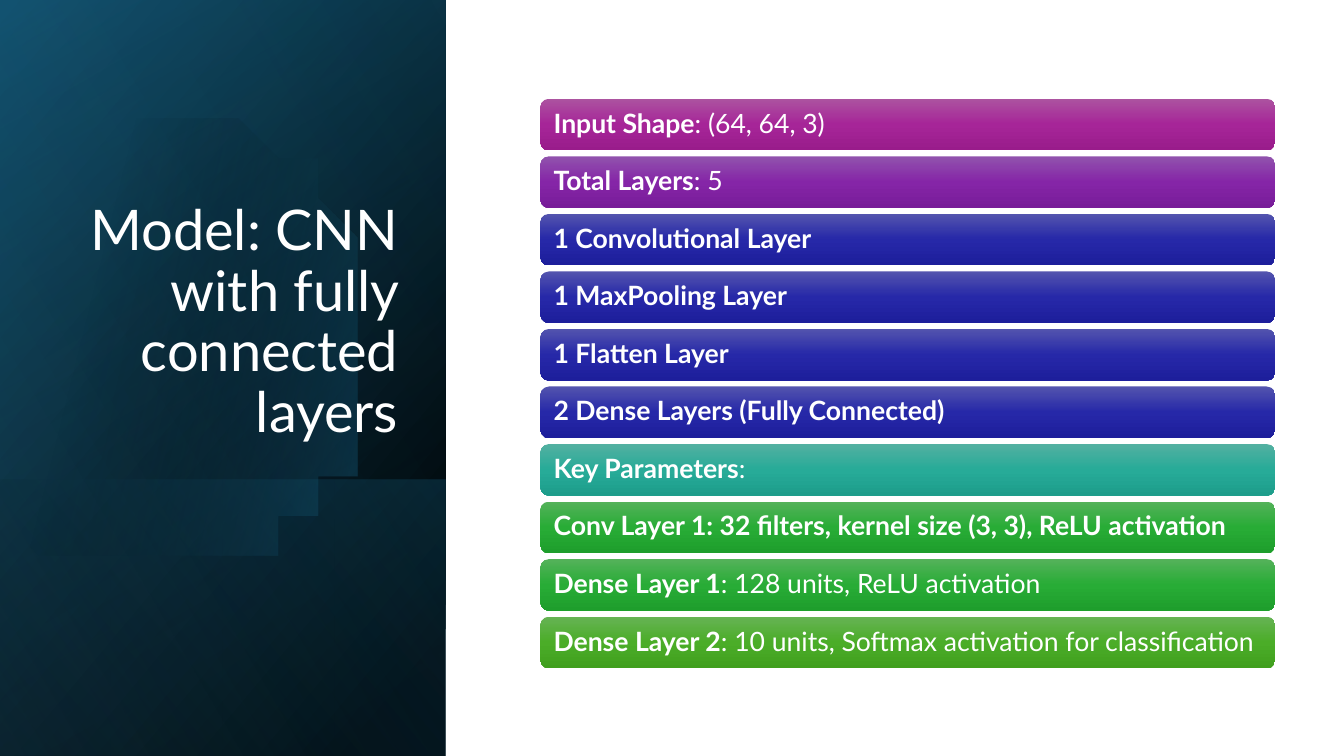
import math

from lxml import etree
from pptx import Presentation
from pptx import util as u
from pptx.dml.color import RGBColor
from pptx.enum import shapes, text
from pptx.oxml import ns


def color(value):
    return RGBColor.from_string(value)


class Slide:
    font = "Lato"
    ink = "FFFFFF"

    def __init__(self, deck):
        self.page = deck.slides.add_slide(deck.slide_layouts[5])

    def gradient(self, shape, stops, angle):
        shape.shadow.inherit = False
        shape.line.fill.background()
        shape.fill.background()
        properties = shape.element.spPr
        fill = etree.Element(ns.qn("a:gradFill"), rotWithShape="1")
        stop_list = etree.SubElement(fill, ns.qn("a:gsLst"))
        for position, value, opacity in stops:
            stop = etree.SubElement(stop_list, ns.qn("a:gs"), pos=str(position * 1000))
            tint = etree.SubElement(stop, ns.qn("a:srgbClr"), val=str(color(value)))
            if opacity < 100:
                etree.SubElement(tint, ns.qn("a:alpha"), val=str(opacity * 1000))
        etree.SubElement(fill, ns.qn("a:lin"), ang=str(round(angle * 60000)), scaled="0")
        properties.replace(properties.find(ns.qn("a:noFill")), fill)

    def shape(self, kind, place, stops, angle):
        box = self.page.shapes.add_shape(kind, *map(u.Cm, place))
        self.gradient(box, stops, angle)
        return box

    def panel(self, place, stops, angle):
        box = self.shape(shapes.MSO_SHAPE.RECTANGLE, place, stops, angle)
        box.rotation = 90
        box.element.spPr.find(ns.qn("a:xfrm")).set("flipH", "1")

    def disc(self, center, radius, reach, stops, angle):
        points = [
            (center[0] + radius * math.cos(math.radians(turn)),
             center[1] + radius * math.sin(math.radians(turn)))
            for turn in range(-reach, reach + 1, 2)
        ]
        builder = self.page.shapes.build_freeform(*points[0], scale=float(u.Cm(1)))
        builder.add_line_segments(points[1:])
        self.gradient(builder.convert_to_shape(), stops, angle)

    def style(self, para, size, align):
        para.alignment = align
        para.line_spacing = 0.9
        para.font.name = self.font
        para.font.size = u.Pt(size)
        para.font.color.rgb = color(self.ink)

    def title(self, words, place):
        box = self.page.shapes.title
        box.left, box.top, box.width, box.height = map(u.Cm, place)
        self.page.shapes.element.append(box.element)
        frame = box.text_frame
        frame.text = words
        frame.word_wrap = True
        frame.auto_size = text.MSO_AUTO_SIZE.NONE
        frame.vertical_anchor = text.MSO_ANCHOR.BOTTOM
        self.style(frame.paragraphs[0], 40, text.PP_ALIGN.RIGHT)

    def bar(self, place, label, detail, shades):
        stops = [(position, shade, 100) for position, shade in zip((0, 50, 100), shades)]
        box = self.shape(shapes.MSO_SHAPE.ROUNDED_RECTANGLE, place, stops, 90)
        frame = box.text_frame
        frame.word_wrap = True
        frame.vertical_anchor = text.MSO_ANCHOR.MIDDLE
        frame.margin_left = frame.margin_right = u.Cm(0.27)
        frame.margin_top = frame.margin_bottom = u.Cm(0.2)
        para = frame.paragraphs[0]
        self.style(para, 19, text.PP_ALIGN.LEFT)
        for words, bold in ((label, True), (detail, False)):
            if words:
                span = para.add_run()
                span.text = words
                span.font.bold = bold


MAGENTA = ("AC53A0", "A62598", "991C8B")
PURPLE = ("9153AD", "8525A7", "781C99")
BLUE = ("5354AE", "2628A8", "1D1E9B")
TEAL = ("53B0A1", "27AB98", "1D9D8B")
GREEN = ("54B25A", "28AC36", "1E9E2C")
LIME = ("66B354", "4BAD28", "409F1E")

MODEL_FACTS = [
    ("Input Shape", ": (64, 64, 3)", MAGENTA),
    ("Total Layers", ": 5", PURPLE),
    ("1 Convolutional Layer", "", BLUE),
    ("1 MaxPooling Layer", "", BLUE),
    ("1 Flatten Layer", "", BLUE),
    ("2 Dense Layers (Fully Connected)", "", BLUE),
    ("Key Parameters", ":", TEAL),
    ("Conv Layer 1: 32 filters, kernel size (3, 3), ReLU activation", "", GREEN),
    ("Dense Layer 1", ": 128 units, ReLU activation", GREEN),
    ("Dense Layer 2", ": 10 units, Softmax activation for classification", LIME),
]


def main():
    deck = Presentation()
    deck.slide_width, deck.slide_height = u.Cm(33.87), u.Cm(19.05)
    slide = Slide(deck)

    side = (-3.91, 3.91, 19.05, 11.23)
    slide.panel(side, [(8, "000000", 100), (100, "104862", 100)], 50)
    slide.panel(side, [(0, "000000", 0), (99, "156082", 46)], 30)
    slide.panel((2.13, 9.96, 6.96, 11.23), [(2, "156082", 29), (100, "000000", 30)], 130)
    slide.disc((3.63, 8.6), 5.82, 128, [(29, "000000", 0), (100, "156082", 43)], 13.9)
    slide.panel(side, [(0, "000000", 0), (99, "46B1E1", 11)], 120)

    slide.title("Model: CNN with fully connected layers", (1.63, 4.67, 8.66, 6.65))
    for row, (label, detail, shades) in enumerate(MODEL_FACTS):
        slide.bar((13.62, 2.49 + 1.45 * row, 18.52, 1.3), label, detail, shades)

    deck.save("out.pptx")


if __name__ == "__main__":
    main()
